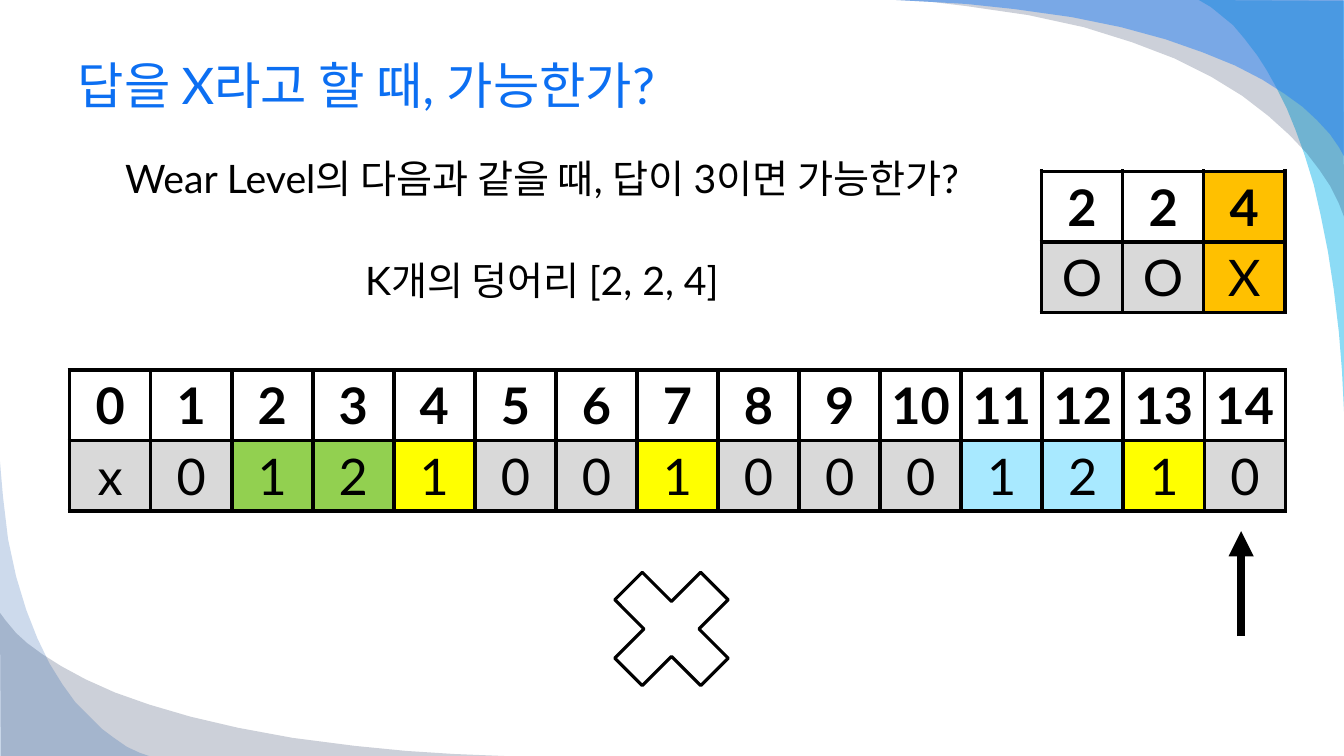
from lxml.etree import SubElement
from pptx import Presentation
from pptx.dml.color import RGBColor
from pptx.enum.shapes import MSO_CONNECTOR, MSO_SHAPE
from pptx.enum.text import MSO_ANCHOR, PP_ALIGN
from pptx.oxml.ns import qn
from pptx.util import Inches, Pt

HUES = {
    "black": "000000", "white": "FFFFFF", "gray": "D9D9D9", "green": "92D050",
    "yellow": "FFFF00", "sky": "A8E9FF", "orange": "FFC000", "title": "0C6FF2",
    "cyan": "00B1E9", "navy": "021741", "blue": "247FF4", "deep": "084AA1",
}

# Each wave: colour, opacity in percent, outline in inches
WAVES = [
    ("cyan", 45, [
        (13.33, 4.08), (13.33, 0.01), (11.89, 0), (12.01, 0.07), (12.12, 0.16),
        (12.23, 0.25), (12.34, 0.38), (12.47, 0.55), (12.56, 0.69), (12.66, 0.87),
        (12.76, 1.07), (12.85, 1.29), (12.94, 1.54), (13.03, 1.83), (13.1, 2.14),
        (13.17, 2.49), (13.23, 2.88), (13.28, 3.3), (13.31, 3.68)]),
    ("navy", 20, [
        (8.89, 0), (13.32, 0), (13.33, 2.15), (13.28, 2.02), (13.19, 1.84),
        (13.09, 1.69), (12.96, 1.52), (12.79, 1.34), (12.58, 1.15), (12.32, 0.95),
        (12.01, 0.76), (11.65, 0.58), (11.23, 0.42), (10.75, 0.27), (10.2, 0.15),
        (9.58, 0.06), (9.25, 0.02)]),
    ("blue", 49, [
        (8.89, 0), (13.33, 0), (13.33, 1.55), (13.28, 1.46), (13.19, 1.33),
        (13.06, 1.19), (12.92, 1.06), (12.74, 0.93), (12.52, 0.79), (12.25, 0.65),
        (11.93, 0.52), (11.56, 0.39), (11.12, 0.27), (10.63, 0.17), (10.06, 0.09),
        (9.59, 0.04), (9.25, 0.02)]),
    ("navy", 20, [
        (5, 7.5), (0.01, 7.5), (0, 6.08), (0.06, 6.16), (0.16, 6.28),
        (0.27, 6.38), (0.42, 6.49), (0.61, 6.61), (0.85, 6.74), (1.14, 6.87),
        (1.48, 6.99), (1.89, 7.11), (2.36, 7.22), (2.9, 7.32), (3.52, 7.4),
        (4.03, 7.45), (4.5, 7.48)]),
    ("deep", 20, [
        (0, 4.58), (0, 7.5), (1.48, 7.5), (1.39, 7.47), (1.26, 7.41),
        (1.13, 7.32), (1.01, 7.23), (0.89, 7.11), (0.75, 6.97), (0.62, 6.79),
        (0.49, 6.58), (0.37, 6.33), (0.26, 6.05), (0.16, 5.72), (0.08, 5.35),
        (0.03, 4.93), (0.01, 4.7)]),
]


def hue(name):
    return RGBColor.from_string(HUES[name])


def box(*sizes):
    return [Inches(size) for size in sizes]


def assign(item, values):
    for name, value in values.items():
        setattr(item, name, value)


class Sheet:
    """Holds the font and the slide being filled."""

    def __init__(self, slide, font):
        self.font = font
        self.shapes = slide.shapes

    def label(self, para, text, size, tone="black", bold=False, align=PP_ALIGN.CENTER):
        run = para.add_run()
        run.text = text
        para.alignment = align
        assign(run.font, {"name": self.font, "size": Pt(size), "bold": bold})
        run.font.color.rgb = hue(tone)

    def title(self, text, place):
        head = self.shapes.title
        assign(head, dict(zip(("left", "top", "width", "height"), box(*place))))
        head.text_frame.vertical_anchor = MSO_ANCHOR.MIDDLE
        self.label(head.text_frame.paragraphs[0], text, 36, "title", align=PP_ALIGN.LEFT)
        head.element.getparent().append(head.element)

    def wave(self, tone, alpha, points):
        start, *rest = [box(*point) for point in points]
        pen = self.shapes.build_freeform(*start)
        pen.add_line_segments(rest, close=True)
        shape = pen.convert_to_shape()
        shape.shadow.inherit = False
        shape.fill.solid()
        shape.fill.fore_color.rgb = hue(tone)
        shape.line.fill.background()
        color = shape.element.spPr.find(qn("a:solidFill"))[0]
        SubElement(color, qn("a:alpha"), val=str(alpha * 1000))

    def text(self, lines, place, gap):
        frame = self.shapes.add_textbox(*box(*place)).text_frame
        frame.word_wrap = True
        for index, line in enumerate(lines):
            para = frame.add_paragraph() if index else frame.paragraphs[0]
            para.space_before = Pt(gap if index else 0)
            self.label(para, line, 28)

    def border(self, cell):
        props = cell._tc.get_or_add_tcPr()
        for side in "LRTB":
            edge = SubElement(props, qn(f"a:ln{side}"), w=str(int(Pt(3))))
            fill = SubElement(edge, qn("a:solidFill"))
            SubElement(fill, qn("a:srgbClr"), val=HUES["black"])

    def grid(self, rows, tones, left, top):
        """Draws a bold first row and a plain second row; tones are per row."""
        count = len(rows[0])
        wide, high = 0.804, 0.7
        table = self.shapes.add_table(
            2, count, *box(left, top, wide * count, high * 2)).table
        for col in table.columns:
            col.width = Inches(wide)
        for y, (row, shades) in enumerate(zip(rows, tones)):
            table.rows[y].height = Inches(high)
            for x, (value, tone) in enumerate(zip(row, shades)):
                cell = table.cell(y, x)
                assign(cell, {
                    "margin_left": Inches(0.05), "margin_right": Inches(0.05),
                    "vertical_anchor": MSO_ANCHOR.MIDDLE})
                self.label(cell.text_frame.paragraphs[0], value, 36, bold=y == 0)
                self.border(cell)
                cell.fill.solid()
                cell.fill.fore_color.rgb = hue(tone)

    def arrow(self, *ends):
        line = self.shapes.add_connector(MSO_CONNECTOR.STRAIGHT, *box(*ends))
        line.line.color.rgb = hue("black")
        line.line.width = Pt(6)
        props = line.element.spPr
        SubElement(props.find(qn("a:ln")), qn("a:tailEnd"), type="triangle")
        SubElement(props, qn("a:effectLst"))

    def cross(self, place):
        shape = self.shapes.add_shape(MSO_SHAPE.MATH_MULTIPLY, *box(*place))
        shape.shadow.inherit = False
        shape.fill.solid()
        shape.fill.fore_color.rgb = hue("white")
        shape.line.color.rgb = hue("black")
        shape.line.width = Pt(2.25)


def main():
    deck = Presentation()
    deck.slide_width, deck.slide_height = box(13.33, 7.5)
    sheet = Sheet(deck.slides.add_slide(deck.slide_layouts[5]), "Lato")

    for wave in WAVES:
        sheet.wave(*wave)
    sheet.title("답을 X라고 할 때, 가능한가?", (0.67, 0.33, 12, 1.01))

    marks = ["gray"] * 15
    for tone, spots in {"green": (2, 3), "yellow": (4, 7, 13), "sky": (11, 12)}.items():
        for spot in spots:
            marks[spot] = tone
    days = [str(day) for day in range(15)]
    sheet.grid([days, "x01210010001210"], [["white"] * 15, marks], 0.69, 3.67)

    sheet.text(["Wear Level의 다음과 같을 때, 답이 3이면 가능한가?", "K개의 덩어리 [2, 2, 4]"],
               (0.67, 1.48, 9.41, 1.82), 39)
    sheet.grid(["224", "OOX"],
               [["white", "white", "orange"], ["gray", "gray", "orange"]], 10.33, 1.7)
    sheet.arrow(12.31, 6.31, 12.31, 5.27)
    sheet.cross((5.84, 5.42, 1.64, 1.64))

    deck.save("out.pptx")


if __name__ == "__main__":
    main()
